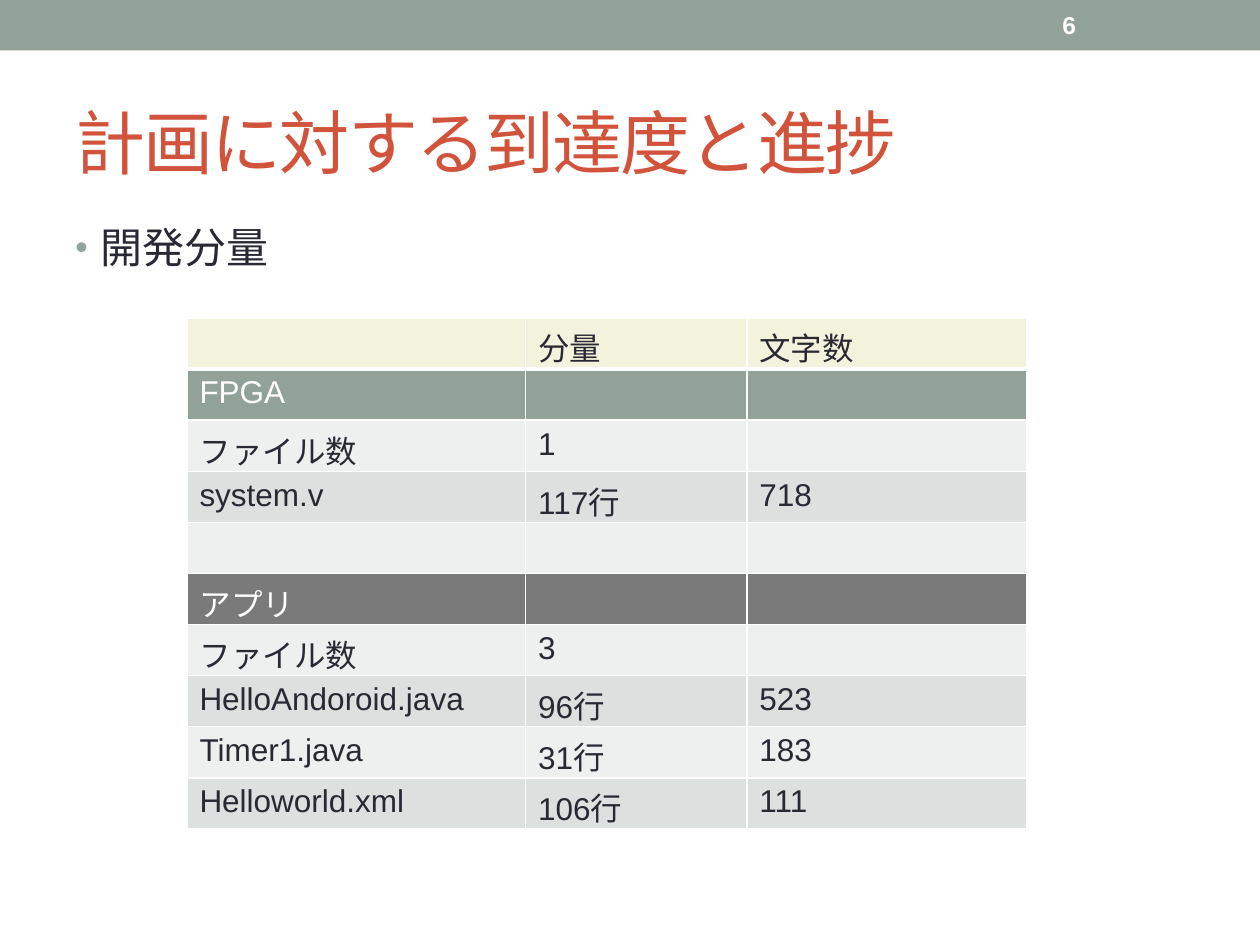
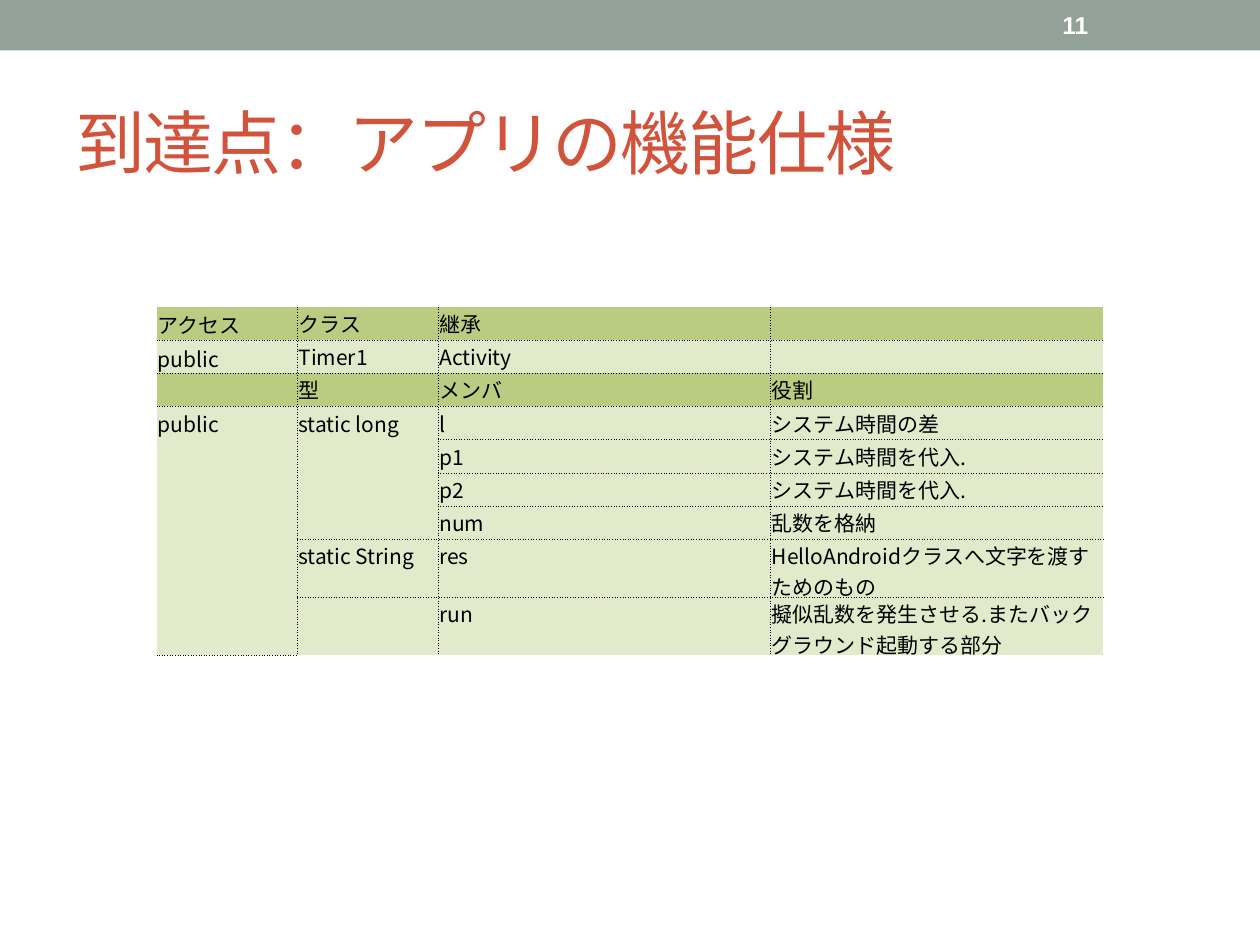
from lxml.etree import SubElement
from pptx import Presentation
from pptx.dml.color import RGBColor
from pptx.enum.shapes import MSO_SHAPE as Shape
from pptx.enum.text import MSO_ANCHOR as Anchor
from pptx.oxml.ns import qn
from pptx.util import Pt

SAGE, RED, INK, WHITE, BLACK = "93A299", "D2533C", "292934", "FFFFFF", "000000"
CREAM, GREY, PALE, SILVER = "F3F2DC", "7A7A7A", "EEF0EF", "DCE0DE"
OLIVE, LIME = "BACC82", "E2EACC"
LATIN, JAPANESE = "Arial", "Noto Sans CJK JP"

SLIDE_BOX = (0, 0, 720, 540)
VOLUME_BOX = (106.8, 181.7, 480, 292)
VOLUME_COLUMNS = (193.5, 126.5, 160)
VOLUME_ROWS = [
    (CREAM, "", "分量", "文字数"),
    (SAGE, "FPGA", "", ""),
    (PALE, "ファイル数", "1", ""),
    (SILVER, "system.v", "117行", "718"),
    (PALE, "", "", ""),
    (GREY, "アプリ", "", ""),
    (PALE, "ファイル数", "3", ""),
    (SILVER, "HelloAndoroid.java", "96行", "523"),
    (PALE, "Timer1.java", "31行", "183"),
    (SILVER, "Helloworld.xml", "106行", "111"),
]

CLASS_BOX = (89.5, 175.3, 541, 199)
CLASS_COLUMNS = (80.5, 80.5, 190, 190)
CLASS_HEIGHTS = (19,) * 7 + (33,) * 2
CLASS_ROWS = [
    (OLIVE, "アクセス", "クラス", "継承", ""),
    (LIME, "public", "Timer1", "Activity", ""),
    (OLIVE, "", "型", "メンバ", "役割"),
    (LIME, "public", "static long", "l", "システム時間の差"),
    (LIME, "", "", "p1", "システム時間を代入."),
    (LIME, "", "", "p2", "システム時間を代入."),
    (LIME, "", "", "num", "乱数を格納"),
    (LIME, "", "static String", "res", "HelloAndroidクラスへ文字を渡すためのもの"),
    (LIME, "", "", "run", "擬似乱数を発生させる.またバックグラウンド起動する部分"),
]


def rgb(code):
    """Return the colour for a hex string."""
    return RGBColor.from_string(code)


def style(para, size, color, name=LATIN, bold=False):
    """Set the font of a whole paragraph."""
    font = para.font
    font.size, font.name, font.bold = Pt(size), name, bold
    font.color.rgb = rgb(color)


def add_text(page, box, text, size, color, anchor=Anchor.MIDDLE, bold=False):
    """Add a one-paragraph text box and return its paragraph."""
    frame = page.shapes.add_textbox(*map(Pt, box)).text_frame
    frame.word_wrap = True
    frame.vertical_anchor = anchor
    para = frame.paragraphs[0]
    para.text = text
    style(para, size, color, bold=bold)
    return para


def add_frame(page, box, title, number):
    """Draw the top band, the page number and the title."""
    left, top, width, _ = box
    band = page.shapes.add_shape(Shape.RECTANGLE, *map(Pt, (left, top, width, 28.8)))
    band.shadow.inherit = False
    band.fill.solid()
    band.fill.fore_color.rgb = rgb(SAGE)
    band.line.fill.background()
    heading = add_text(page, (left + 36, top + 42, width - 72, 78), title, 40, RED)
    heading._p.pPr.find(qn("a:defRPr")).set("spc", "-100")
    add_text(page, (left + 600, top + 1.4, 84, 26), number, 14, WHITE, bold=True)


def add_bullet(page, box, text):
    """Add the bulleted body line."""
    para = add_text(page, box, text, 24, INK, Anchor.TOP)
    para.line_spacing = 0.9
    props = para._p.pPr
    props.set("marL", str(Pt(14.4)))
    props.set("indent", str(Pt(-14.4)))
    color = SubElement(props, qn("a:buClr"))
    SubElement(color, qn("a:srgbClr"), val=SAGE)
    SubElement(props, qn("a:buSzPct"), val="85000")
    SubElement(props, qn("a:buFont"), typeface=LATIN)
    SubElement(props, qn("a:buChar"), char="•")
    props.append(props.find(qn("a:defRPr")))


def set_borders(cell, widths, color, dash):
    """Draw the left, right, top and bottom borders; zero means none."""
    props = cell._tc.get_or_add_tcPr()
    for side, width in zip("LRTB", widths):
        line = SubElement(props, qn(f"a:ln{side}"), w=str(Pt(width)))
        if width:
            fill = SubElement(line, qn("a:solidFill"))
            SubElement(fill, qn("a:srgbClr"), val=color)
            SubElement(line, qn("a:prstDash"), val=dash)
        else:
            SubElement(line, qn("a:noFill"))


def add_grid(page, box, columns, heights, rows):
    """Add a plain table with its column widths and row heights."""
    shape = page.shapes.add_table(len(rows), len(columns), *map(Pt, box))
    table = shape.table
    table.first_row = table.horz_banding = False
    for column, width in zip(table.columns, columns):
        column.width = Pt(width)
    for row, height in zip(table.rows, heights):
        row.height = Pt(height)
    return table


def fill_cell(cell, text, fill, size, color, name):
    """Fill one cell and write its text."""
    cell.fill.solid()
    cell.fill.fore_color.rgb = rgb(fill)
    para = cell.text_frame.paragraphs[0]
    para.text = text
    style(para, size, color, name)
    if not text:
        SubElement(para._p, qn("a:endParaRPr"), sz=str(size * 100))


def add_volume_table(page, box):
    """Add the table of development volume."""
    heights = [box[3] / len(VOLUME_ROWS)] * len(VOLUME_ROWS)
    table = add_grid(page, box, VOLUME_COLUMNS, heights, VOLUME_ROWS)
    for row, (fill, *texts) in enumerate(VOLUME_ROWS):
        color = WHITE if fill in (SAGE, GREY) else INK
        widths = (1, 1, 3 if row == 1 else 1, 3 if row == 0 else 1)
        for column, text in enumerate(texts):
            cell = table.cell(row, column)
            set_borders(cell, widths, WHITE, "solid")
            fill_cell(cell, text, fill, 18, color, LATIN)


def add_class_table(page, box):
    """Add the table of class members with dotted inner borders."""
    table = add_grid(page, box, CLASS_COLUMNS, CLASS_HEIGHTS, CLASS_ROWS)
    last_row, last_column = len(CLASS_ROWS) - 1, len(CLASS_COLUMNS) - 1
    for row, (fill, *texts) in enumerate(CLASS_ROWS):
        for column, text in enumerate(texts):
            cell = table.cell(row, column)
            inner = (column > 0, column < last_column, row > 0,
                     row < last_row or column == 0)
            set_borders(cell, [0.5 * shown for shown in inner], BLACK, "sysDot")
            fill_cell(cell, text, fill, 12, BLACK, JAPANESE)
            cell.margin_left = cell.margin_right = cell.margin_top = Pt(0.7)
            cell.margin_bottom = 0
            if column == 0 and row < 2:
                cell.vertical_anchor = Anchor.BOTTOM
    table.cell(3, 0).merge(table.cell(last_row, 0))
    table.cell(3, 1).merge(table.cell(6, 1))


def main():
    """Build and save the deck."""
    deck = Presentation()
    deck.slide_width, deck.slide_height = map(Pt, SLIDE_BOX[2:])
    blank = deck.slide_layouts[6]

    page = deck.slides.add_slide(blank)
    add_frame(page, SLIDE_BOX, "計画に対する到達度と進捗", "6")
    add_bullet(page, (36, 126, 648, 384), "開発分量")
    add_volume_table(page, VOLUME_BOX)

    page = deck.slides.add_slide(blank)
    add_frame(page, SLIDE_BOX, "到達点：アプリの機能仕様", "11")
    add_class_table(page, CLASS_BOX)

    deck.save("out.pptx")


if __name__ == "__main__":
    main()
